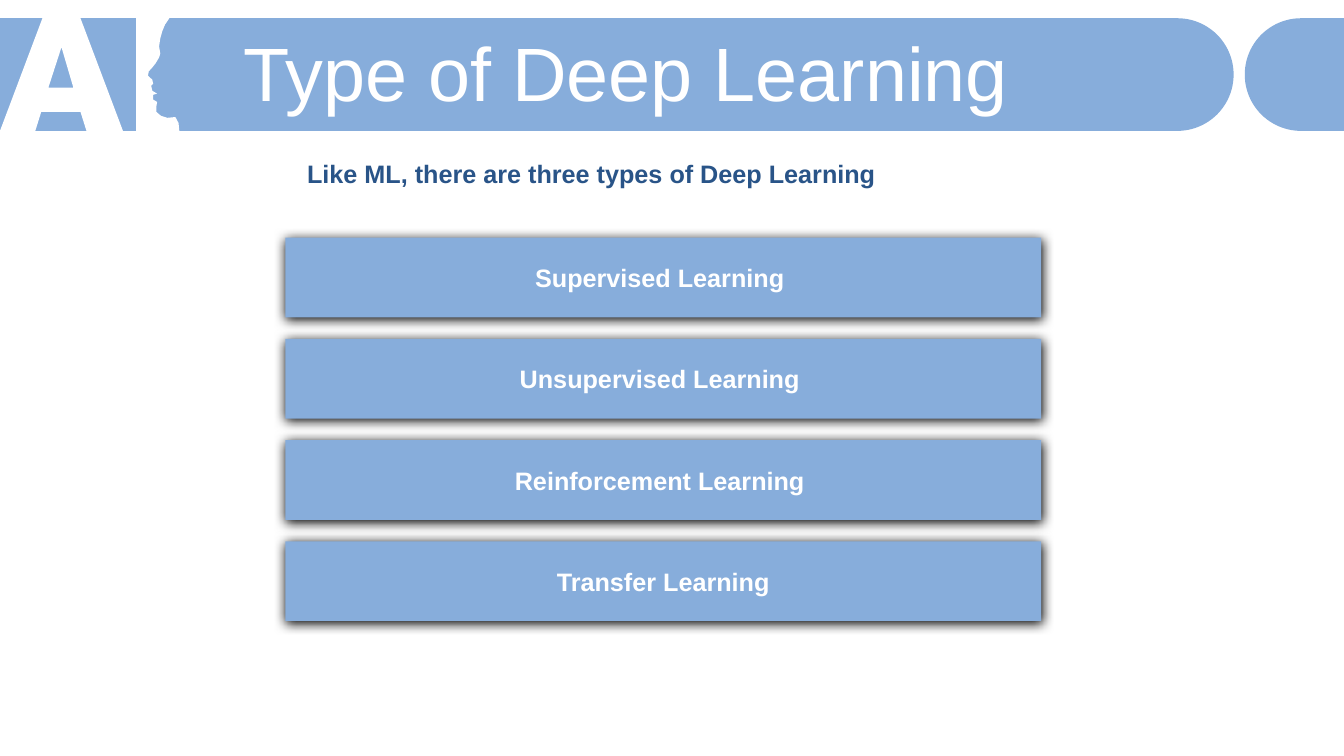
"""Build a slide that lists the types of deep learning under an AI banner."""
from math import cos, pi, sin

from lxml.etree import SubElement
from pptx import Presentation
from pptx.dml.color import RGBColor
from pptx.enum.shapes import MSO_SHAPE
from pptx.enum.text import MSO_ANCHOR, PP_ALIGN
from pptx.oxml.ns import qn
from pptx.util import Cm, Pt

BLUE = RGBColor(0x87, 0xAD, 0xDB)
NAVY = RGBColor(0x29, 0x54, 0x88)
WHITE = RGBColor(0xFF, 0xFF, 0xFF)

SLIDE_WIDTH = 33.87
BANNER_TOP, BANNER_BOTTOM = 0.46, 3.3
RADIUS = (BANNER_BOTTOM - BANNER_TOP) / 2
BANNER_MIDDLE = BANNER_TOP + RADIUS

presentation = Presentation()
presentation.slide_width = Cm(SLIDE_WIDTH)
presentation.slide_height = Cm(19.05)
slide = presentation.slides.add_slide(presentation.slide_layouts[6])


def add_outline(color, *contours):
    contours = [[(Cm(x), Cm(y)) for x, y in contour] for contour in contours]
    builder = slide.shapes.build_freeform(*contours[0][0])
    builder.add_line_segments(contours[0][1:])
    for contour in contours[1:]:
        builder.move_to(*contour[0])
        builder.add_line_segments(contour[1:])
    shape = builder.convert_to_shape()
    shape.shadow.inherit = False
    shape.fill.solid()
    shape.fill.fore_color.rgb = color
    shape.line.fill.background()


def write(shape, text, size, color, bold=False):
    frame = shape.text_frame
    frame.word_wrap = True
    paragraph = frame.paragraphs[0]
    paragraph.text = text
    paragraph.font.name = "Arial"
    paragraph.font.size = Pt(size)
    paragraph.font.bold = bold
    paragraph.font.color.rgb = color
    return paragraph


angles = [pi * step / 48 - pi / 2 for step in range(49)]
for edge, center, side in [(0, 29.67, 1), (SLIDE_WIDTH, 32.79, -1)]:
    arc = [(center + side * RADIUS * cos(angle), BANNER_MIDDLE + RADIUS * sin(angle))
           for angle in angles]
    add_outline(BLUE, [(edge, BANNER_TOP), *arc, (edge, BANNER_BOTTOM)])

letter_a = [(1.07, BANNER_TOP), (2.03, BANNER_TOP), (3.1, BANNER_BOTTOM),
            (2.18, BANNER_BOTTOM), (2.03, 2.82), (1.04, 2.82),
            (0.89, BANNER_BOTTOM), (0, BANNER_BOTTOM)]
letter_hole = [(1.55, 1.19), (1.22, 2.21), (1.85, 2.21)]
add_outline(WHITE, letter_a, letter_hole)

profile = [(4.27, BANNER_TOP), (4.16, 0.62), (4.09, 0.79), (4.04, 0.97),
           (4.01, 1.17), (4.04, 1.35), (4.01, 1.45), (3.92, 1.6),
           (3.84, 1.7), (3.75, 1.8), (3.73, 1.91), (3.84, 2.01),
           (3.86, 2.11), (3.81, 2.16), (3.84, 2.29), (3.96, 2.36),
           (3.86, 2.39), (3.86, 2.51), (3.96, 2.57), (3.94, 2.69),
           (3.94, 2.82), (4.06, 2.92), (4.22, 2.97), (4.42, 2.95),
           (4.5, 3.1), (4.52, BANNER_BOTTOM)]
add_outline(WHITE, [(3.43, BANNER_TOP), *profile, (3.43, BANNER_BOTTOM)])

title = slide.shapes.add_textbox(Cm(5.89), Cm(0.94), Cm(27.15), Cm(2.01))
title.text_frame.vertical_anchor = MSO_ANCHOR.MIDDLE
paragraph = write(title, "Type of Deep Learning", 54, WHITE)
paragraph.line_spacing = 0.9

subtitle = slide.shapes.add_textbox(Cm(7.19), Cm(3.86), Cm(16.94), Cm(1.02))
subtitle.text_frame.margin_left = Cm(0.55)
paragraph = write(subtitle, "Like ML, there are three types of Deep Learning", 18, NAVY, True)
paragraph.space_after = Pt(10.6)

learning_types = ["Supervised Learning ", "Unsupervised Learning ",
                  "Reinforcement Learning ", "Transfer Learning"]
for row, learning_type in enumerate(learning_types):
    bar = slide.shapes.add_shape(
        MSO_SHAPE.RECTANGLE, Cm(7.19), Cm(5.99 + 2.55 * row), Cm(19.05), Cm(2.01))
    bar.fill.solid()
    bar.fill.fore_color.rgb = BLUE
    bar.line.fill.background()
    bar.shadow.inherit = False
    effects = bar.element.spPr.find(qn("a:effectLst"))
    shadow = SubElement(effects, qn("a:outerShdw"), blurRad=str(Pt(8.5)),
                        dist=str(Pt(1)), dir="5400000", algn="t", rotWithShape="0")
    SubElement(shadow, qn("a:srgbClr"), val="000000")
    bar.text_frame.vertical_anchor = MSO_ANCHOR.MIDDLE
    paragraph = write(bar, learning_type, 18, WHITE, True)
    paragraph.alignment = PP_ALIGN.CENTER

presentation.save("out.pptx")
